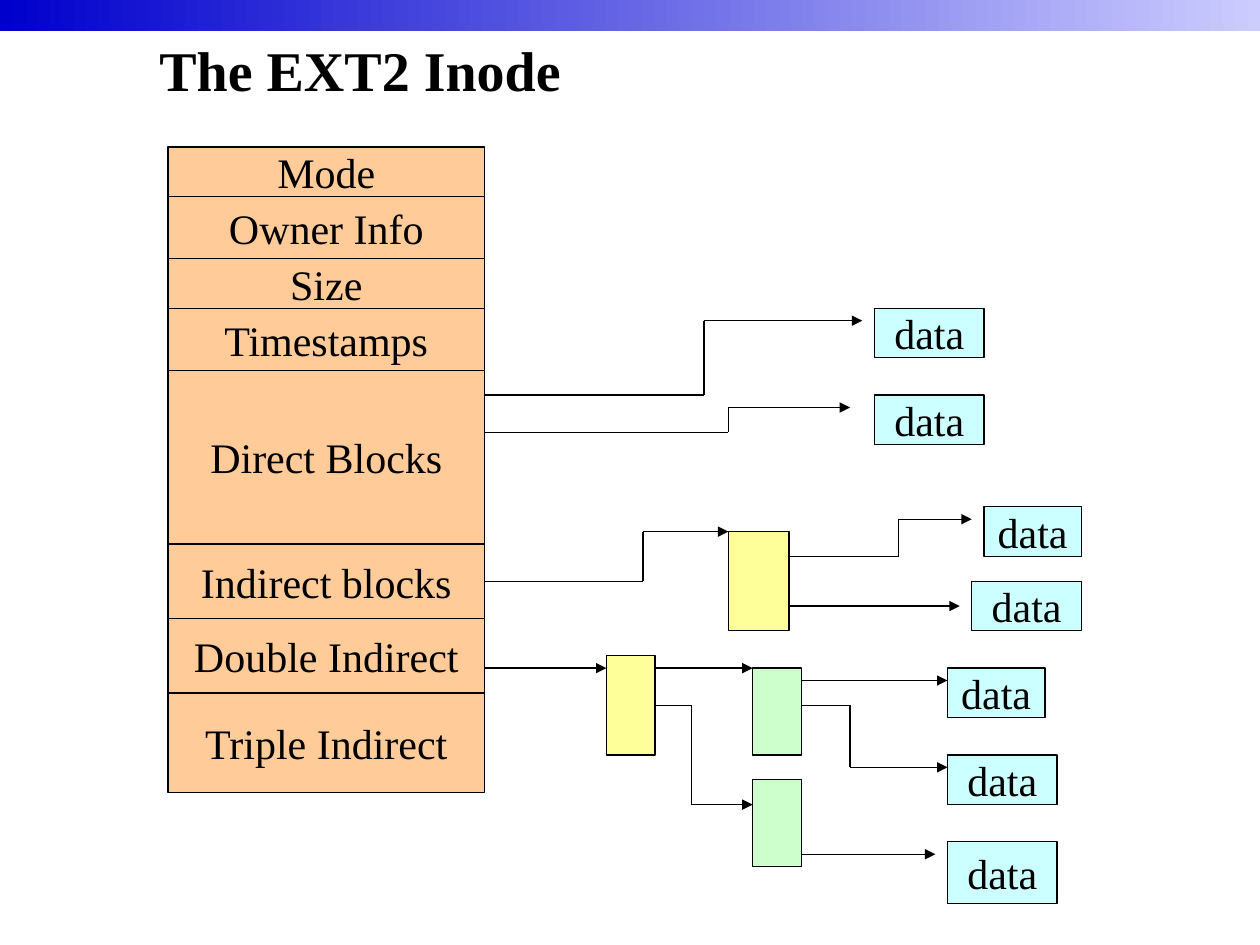
import pptx
import pptx.dml.color
import pptx.enum.shapes
import pptx.enum.text
import pptx.oxml.ns
import pptx.util
from lxml import etree

Pt = pptx.util.Pt
FONT = "Times New Roman"
COLORS = {
    "ink": "000000",
    "inode": "FFCC99",
    "data": "CCFFFF",
    "level1": "FFFF99",
    "level2": "CCFFCC",
    "bar_dark": "0000CC",
    "bar_light": "CCCCFF",
}

# Inode fields: label, height in grid rows
FIELDS = [
    ("Mode", 4), ("Owner Info", 5), ("Size", 4), ("Timestamps", 5),
    ("Direct Blocks", 14), ("Indirect blocks", 6),
    ("Double Indirect", 6), ("Triple Indirect", 8),
]
FIELD_COLS = 26

# Data blocks: column, row, columns wide, rows high
DATA_BLOCKS = [
    (58, 13, 9, 4), (58, 20, 9, 4), (67, 29, 8, 4), (66, 35, 9, 4),
    (64, 42, 8, 4), (64, 49, 9, 4), (64, 56, 9, 5),
]


def grid_x(col):
    return Pt(96 + 6.96 * col)


def grid_y(row):
    return Pt(84 + 7.09 * row)


def rgb(name):
    return pptx.dml.color.RGBColor.from_string(COLORS[name])


def add_run(p, text, size, bold=False):
    r = p.add_run()
    r.text = text
    r.font.name = FONT
    r.font.size = Pt(size)
    r.font.bold = bold
    r.font.color.rgb = rgb("ink")


def add_bar(s):
    sp = s.shapes.add_shape(pptx.enum.shapes.MSO_SHAPE.RECTANGLE,
                            Pt(0), Pt(0), Pt(720), Pt(18))
    sp.shadow.inherit = False
    sp.line.fill.background()
    sp.fill.gradient()
    sp.fill.gradient_angle = 0
    for stop, name in zip(sp.fill.gradient_stops, ("bar_dark", "bar_light")):
        stop.color.rgb = rgb(name)


def add_title(s, text):
    sp = s.shapes.add_textbox(Pt(84), Pt(-5.76), Pt(612), Pt(90))
    tf = sp.text_frame
    tf.word_wrap = True
    tf.vertical_anchor = pptx.enum.text.MSO_ANCHOR.MIDDLE
    add_run(tf.paragraphs[0], text, 32, bold=True)


def add_box(s, col, row, cols, rows, color, text=None):
    x, y = grid_x(col), grid_y(row)
    sp = s.shapes.add_shape(pptx.enum.shapes.MSO_SHAPE.RECTANGLE, x, y,
                            grid_x(col + cols) - x, grid_y(row + rows) - y)
    sp.shadow.inherit = False
    sp.fill.solid()
    sp.fill.fore_color.rgb = rgb(color)
    sp.line.color.rgb = rgb("ink")
    sp.line.width = Pt(0.75)
    if text:
        tf = sp.text_frame
        tf.word_wrap = False
        tf.vertical_anchor = pptx.enum.text.MSO_ANCHOR.MIDDLE
        p = tf.paragraphs[0]
        p.alignment = pptx.enum.text.PP_ALIGN.CENTER
        add_run(p, text, 24)
    return sp


def add_pointer(s, points, source=None):
    """Draw straight segments through grid points, with a head on the last."""
    for i, (start, end) in enumerate(zip(points, points[1:])):
        line = s.shapes.add_connector(
            pptx.enum.shapes.MSO_CONNECTOR.STRAIGHT,
            grid_x(start[0]), grid_y(start[1]), grid_x(end[0]), grid_y(end[1]))
        line.line.color.rgb = rgb("ink")
        line.line.width = Pt(0.75)
        if i == 0 and source is not None:
            line.begin_connect(source, 3)
        if i == len(points) - 2:
            etree.SubElement(line.line._get_or_add_ln(),
                             pptx.oxml.ns.qn("a:tailEnd"), type="triangle")
        etree.SubElement(line._element.spPr, pptx.oxml.ns.qn("a:effectLst"))


def main():
    prs = pptx.Presentation()
    prs.slide_width, prs.slide_height = Pt(720), Pt(540)
    s = prs.slides.add_slide(prs.slide_layouts[6])

    # Header
    add_bar(s)
    add_title(s, "The EXT2 Inode")

    # Inode fields, stacked
    fields = {}
    row = 0
    for label, rows in FIELDS:
        fields[label] = add_box(s, 0, row, FIELD_COLS, rows, "inode", label)
        row += rows

    # Index blocks and data blocks
    add_box(s, 46, 31, 5, 8, "level1")
    double_index = add_box(s, 36, 41, 4, 8, "level1")
    for row in (42, 51):
        add_box(s, 48, row, 4, 7, "level2")
    for block in DATA_BLOCKS:
        add_box(s, *block, "data", "data")

    # Direct pointers
    add_pointer(s, [(26, 20), (44, 20), (44, 14), (57, 14)])
    add_pointer(s, [(26, 23), (46, 23), (46, 21), (56, 21)])

    # Indirect pointers
    add_pointer(s, [(26, 35), (39, 35), (39, 31), (46, 31)],
                fields["Indirect blocks"])
    add_pointer(s, [(51, 33), (60, 33), (60, 30), (66, 30)])
    add_pointer(s, [(51, 37), (65, 37)])

    # Double indirect pointers
    add_pointer(s, [(26, 42), (36, 42)])
    add_pointer(s, [(40, 42), (48, 42)])
    add_pointer(s, [(40, 45), (43, 45), (43, 53), (48, 53)], double_index)
    add_pointer(s, [(52, 43), (64, 43)])
    add_pointer(s, [(52, 45), (56, 45), (56, 50), (64, 50)])
    add_pointer(s, [(52, 57), (63, 57)])

    prs.save("out.pptx")


if __name__ == "__main__":
    main()
